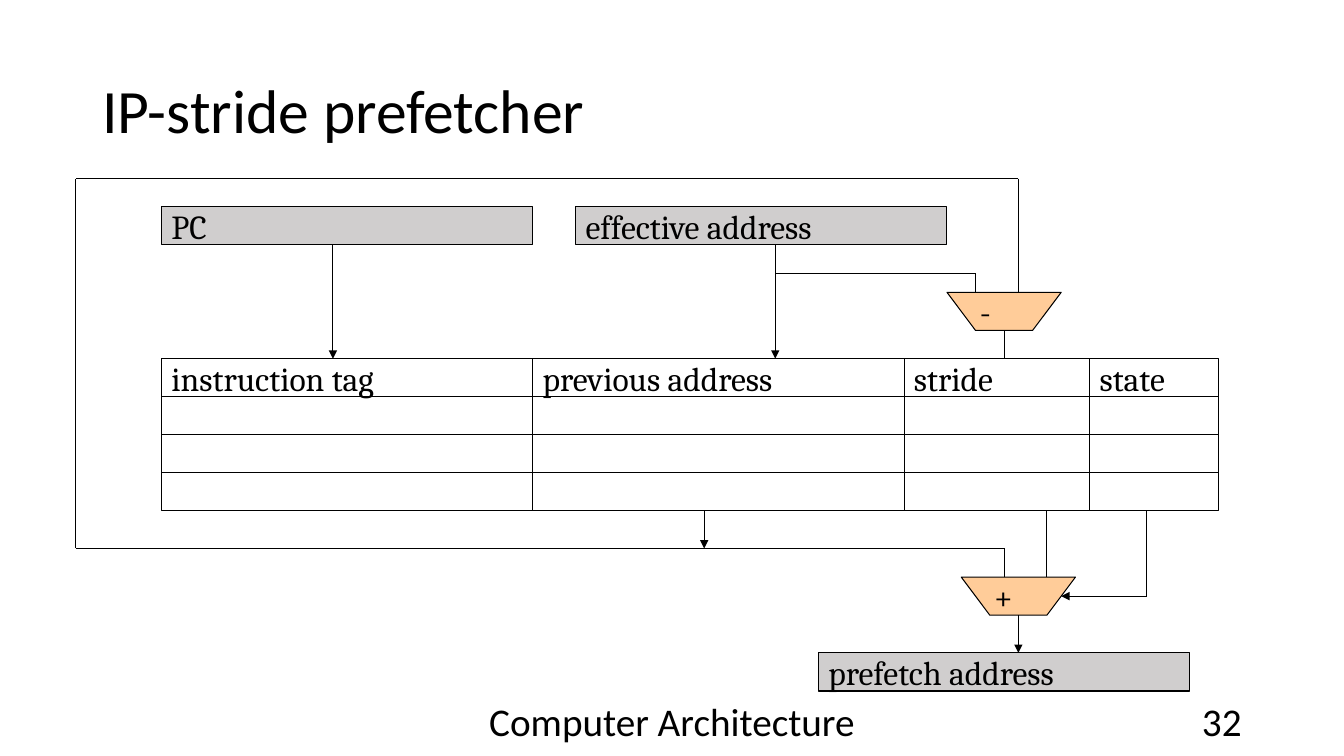
from dataclasses import dataclass
from itertools import accumulate, pairwise

from pptx import Presentation
from pptx.dml.color import RGBColor
from pptx.enum.shapes import MSO_CONNECTOR, MSO_SHAPE
from pptx.enum.text import MSO_ANCHOR, PP_ALIGN
from pptx.oxml.ns import qn
from pptx.shapes.autoshape import Shape
from pptx.slide import Slide
from pptx.util import Pt
from lxml.etree import SubElement

BLACK = RGBColor(0x00, 0x00, 0x00)
GRAY = RGBColor(0xD0, 0xCE, 0xCE)
ORANGE = RGBColor(0xFF, 0xCC, 0x99)

ROW_HEIGHT = 27.2
REGISTER_WIDTH = 265.2
ADDER_WIDTH = 81.6
ADDER_SLANT = 20.4
TABLE_LEFT = 115.4
TABLE_TOP = 256.2
TABLE_ROWS = 4
TABLE_BOTTOM = TABLE_TOP + TABLE_ROWS * ROW_HEIGHT


@dataclass(frozen=True)
class Register:
    label: str
    left: float
    top: float


@dataclass(frozen=True)
class Column:
    label: str
    width: float


@dataclass(frozen=True)
class Adder:
    sign: str
    left: float
    top: float


@dataclass(frozen=True)
class Wire:
    points: tuple[tuple[float, float], ...]
    arrow: bool = False


@dataclass(frozen=True)
class Caption:
    text: str
    left: float
    width: float
    alignment: PP_ALIGN


REGISTERS = (
    Register("PC", TABLE_LEFT, 147.8),
    Register("effective address", 411.2, 147.8),
    Register("prefetch address", 584.6, 466.4),
)
COLUMNS = (
    Column("instruction tag", REGISTER_WIDTH),
    Column("previous address", REGISTER_WIDTH),
    Column("stride", 132.6),
    Column("state", 91.8),
)
ADDERS = (Adder("-", 676.4, 208.8), Adder("+", 686.6, 412.2))
WIRES = (
    Wire(((237.8, 175), (237.8, TABLE_TOP)), True),
    Wire(((553.8, 175), (553.8, TABLE_TOP)), True),
    Wire(((553.8, 195.2), (696.8, 195.2), (696.8, 208.8))),
    Wire(((717.2, 236), (717.2, TABLE_TOP))),
    Wire(((747.8, TABLE_BOTTOM), (747.8, 412.2))),
    Wire(((503, TABLE_BOTTOM), (503, 391.8)), True),
    Wire(((717.2, 412.2), (717.2, 391.8), (54.2, 391.8),
          (54.2, 127.6), (727.4, 127.6), (727.4, 208.8))),
    Wire(((727.4, 439.4), (727.4, 466.4)), True),
    Wire(((819.2, TABLE_BOTTOM), (819.2, 425.8), (758, 425.8)), True),
)
CAPTIONS = (
    Caption("Computer Architecture", 318, 324, PP_ALIGN.CENTER),
    Caption("32", 678, 216, PP_ALIGN.RIGHT),
)


def write_text(box: Shape, text: str, size: float, font_name: str,
               alignment: PP_ALIGN = PP_ALIGN.LEFT) -> None:
    frame = box.text_frame
    frame.word_wrap = True
    frame.vertical_anchor = MSO_ANCHOR.MIDDLE
    frame.text = text
    para = frame.paragraphs[0]
    para.alignment = alignment
    for span in para.runs:
        span.font.name = font_name
        span.font.size = Pt(size)
        span.font.color.rgb = BLACK


def style_outline(box: Shape, fill: RGBColor | None) -> None:
    box.shadow.inherit = False
    if fill is None:
        box.fill.background()
    else:
        box.fill.solid()
        box.fill.fore_color.rgb = fill
    box.line.color.rgb = BLACK
    box.line.width = Pt(0.75)


def draw_cell(page: Slide, label: str, left: float, top: float, width: float,
              fill: RGBColor | None = None) -> None:
    box = page.shapes.add_shape(MSO_SHAPE.RECTANGLE, Pt(left), Pt(top),
                                Pt(width), Pt(ROW_HEIGHT))
    style_outline(box, fill)
    if label:
        write_text(box, label, 24, "Cambria")


def draw_prediction_table(page: Slide) -> None:
    lefts = accumulate((column.width for column in COLUMNS), initial=TABLE_LEFT)
    for column, left in zip(COLUMNS, lefts):
        for row in range(TABLE_ROWS):
            draw_cell(page, "" if row else column.label, left,
                      TABLE_TOP + row * ROW_HEIGHT, column.width)


def draw_adder(page: Slide, adder: Adder) -> None:
    right, bottom = adder.left + ADDER_WIDTH, adder.top + ROW_HEIGHT
    builder = page.shapes.build_freeform(Pt(adder.left), Pt(adder.top))
    corners = ((adder.left + ADDER_SLANT, bottom), (right - ADDER_SLANT, bottom),
               (right, adder.top))
    builder.add_line_segments([(Pt(x), Pt(y)) for x, y in corners], close=True)
    box = builder.convert_to_shape()
    style_outline(box, ORANGE)
    write_text(box, adder.sign, 24, "Cambria")
    box.text_frame.margin_left = Pt(23.5)


def draw_wire(page: Slide, wire: Wire) -> None:
    for start, end in pairwise(wire.points):
        connector = page.shapes.add_connector(
            MSO_CONNECTOR.STRAIGHT, *(Pt(value) for value in start + end))
        connector.line.color.rgb = BLACK
        connector.line.width = Pt(0.75)
        properties = connector.element.spPr
        SubElement(properties, qn("a:effectLst"))
        if wire.arrow and end == wire.points[-1]:
            SubElement(properties.find(qn("a:ln")), qn("a:tailEnd"), type="triangle")


def draw_caption(page: Slide, caption: Caption) -> None:
    box = page.shapes.add_textbox(Pt(caption.left), Pt(500.5),
                                  Pt(caption.width), Pt(28.8))
    write_text(box, caption.text, 28, "Calibri", caption.alignment)


def main() -> None:
    deck = Presentation()
    deck.slide_width, deck.slide_height = Pt(960), Pt(540)
    page = deck.slides.add_slide(deck.slide_layouts[5])
    title = page.shapes.title
    title.left, title.top, title.width, title.height = Pt(66), Pt(28.8), Pt(828), Pt(104.4)
    write_text(title, "IP-stride prefetcher", 44, "Calibri")
    title.text_frame.paragraphs[0].line_spacing = 0.9
    for caption in CAPTIONS:
        draw_caption(page, caption)
    for register in REGISTERS:
        draw_cell(page, register.label, register.left, register.top, REGISTER_WIDTH, GRAY)
    draw_prediction_table(page)
    for adder in ADDERS:
        draw_adder(page, adder)
    for wire in WIRES:
        draw_wire(page, wire)
    deck.save("out.pptx")


if __name__ == "__main__":
    main()
